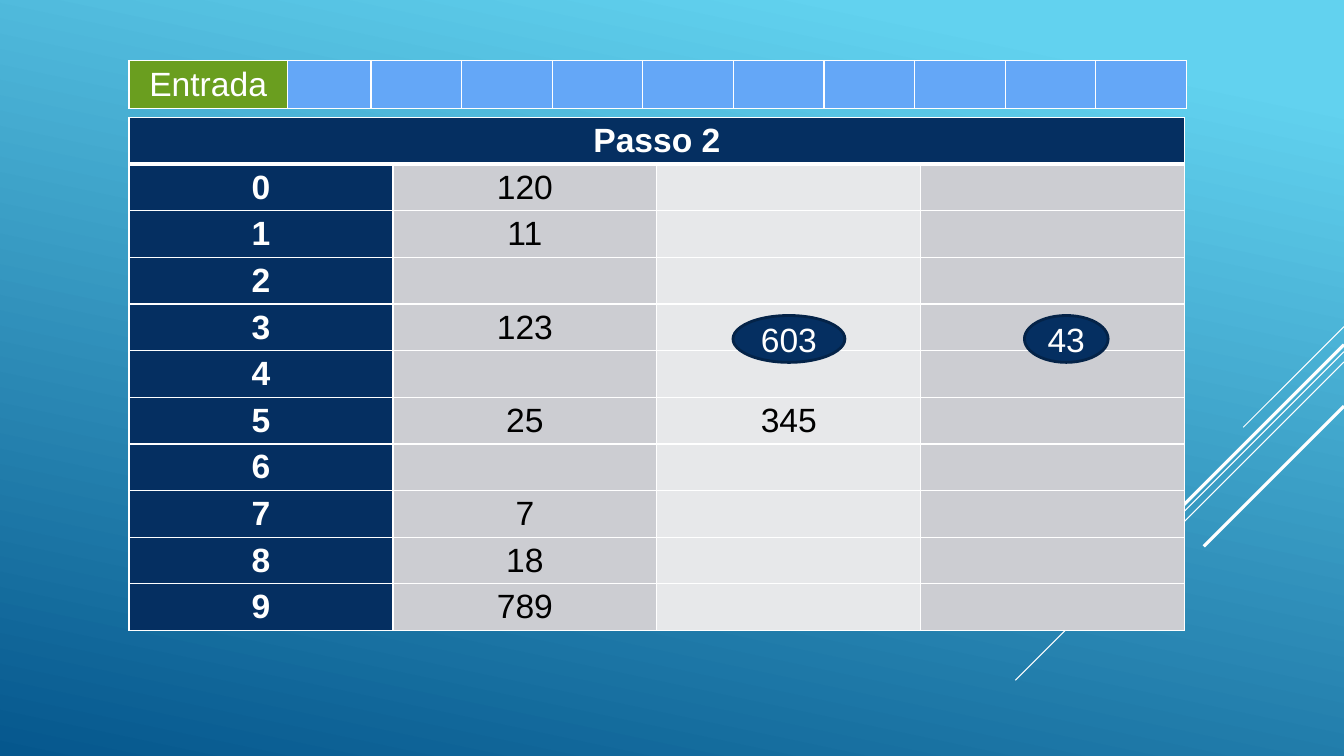
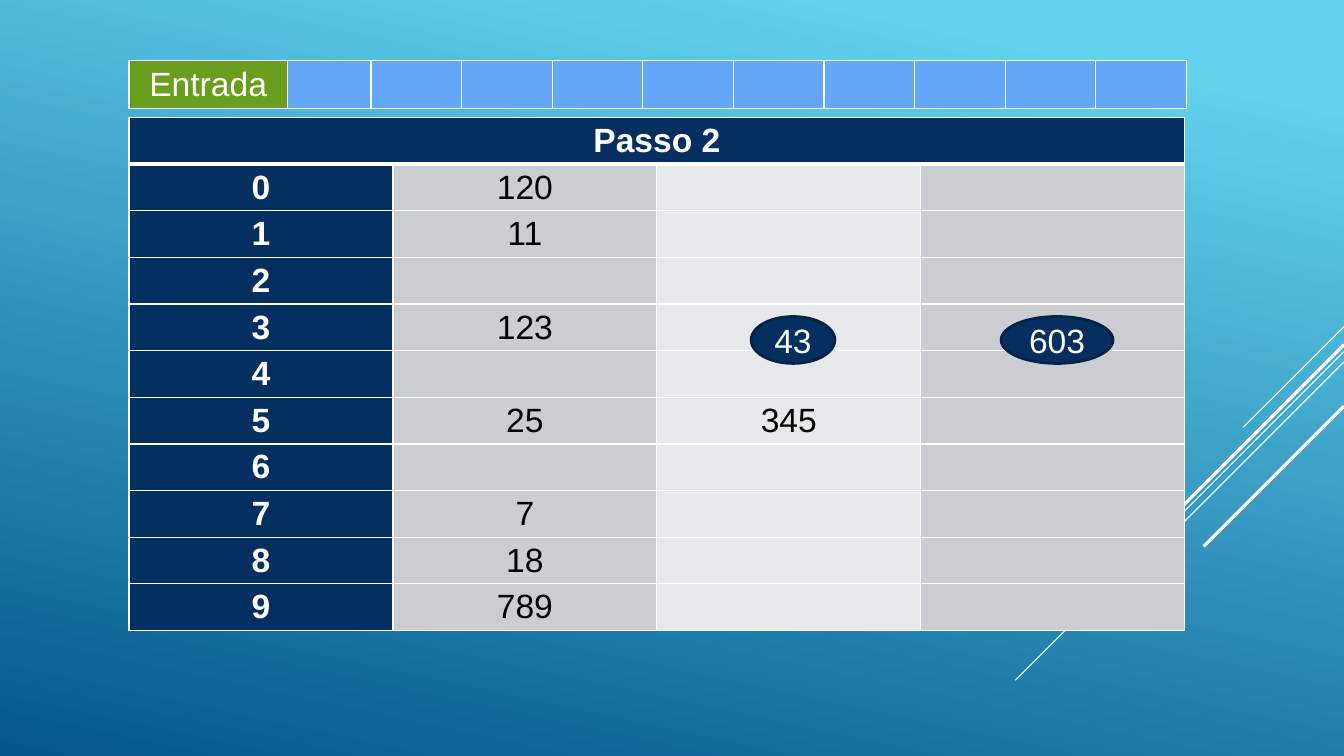
"""Two slides of a bucket-sort step, with the tied numbers swapped."""
from pptx import Presentation
from pptx.dml.color import RGBColor
from pptx.enum.shapes import MSO_CONNECTOR, MSO_SHAPE
from pptx.enum.text import MSO_ANCHOR, PP_ALIGN
from pptx.oxml.ns import qn
from pptx.util import Inches, Pt
from lxml.etree import SubElement

CENTER = PP_ALIGN.CENTER
MIDDLE = MSO_ANCHOR.MIDDLE
OVAL = MSO_SHAPE.OVAL
STRAIGHT = MSO_CONNECTOR.STRAIGHT
WIDTH, HEIGHT = Inches(13.33), Inches(7.5)
FONT, TEXT_SIZE = "Arial", 24
COLORS = {
    "sky": "62D2EF", "deep": "05578D", "white": "FFFFFF", "black": "000000",
    "navy": "052F61", "outline": "042348", "gray": "CCCDD2",
    "pale": "E7E8EA", "green": "6A9E1F", "blue": "64A7F7",
}
TABLE_LEFT = 9.6
INPUT_COLUMNS = [11.78, 6.23] + [6.74] * 9
BUCKET_COLUMNS = [19.64] * 4
BUCKET_FILLS = ["navy", "gray", "pale", "gray"]
BUCKETS = [["120"], ["11"], [], ["123"], [], ["25", "345"], [], ["7"], ["18"], ["789"]]
RAYS = [(43.2, 7.5, 0.75), (46.53, 24.45, 0.75), (47.87, 15.53, 0.75),
        (45.6, 14.33, 2.25), (53.73, 10.43, 2.25)]
OVAL_WIDTHS = {"603": 8.33, "43": 6.23}
STEPS = [(41.73, {"603": 54.54, "43": 76.22}),
         (41.87, {"603": 74.49, "43": 55.89})]


def across(percent):
    """Return a share of the slide's width."""
    return round(WIDTH * percent / 100)


def down(percent):
    """Return a share of the slide's height."""
    return round(HEIGHT * percent / 100)


def rgb(name):
    """Return a palette colour."""
    return RGBColor.from_string(COLORS[name])


def paint(fill, color):
    """Make a fill solid."""
    fill.solid()
    fill.fore_color.rgb = rgb(color)


def write(frame, text, color, bold=False):
    """Add one centred run to a text frame."""
    para = frame.paragraphs[0]
    para.alignment = CENTER
    span = para.add_run()
    span.text = text
    span.font.name, span.font.size, span.font.bold = FONT, Pt(TEXT_SIZE), bold
    span.font.color.rgb = rgb(color)


def paint_background(page):
    """Fill the page with the slanted blue gradient."""
    fill = page.background.fill
    fill.gradient()
    fill.gradient_angle = 258
    for stop, color, position in zip(fill.gradient_stops, ("sky", "deep"), (0.1, 1)):
        stop.color.rgb = rgb(color)
        stop.position = position


def add_ray(page, top, run, weight):
    """Draw a 45-degree line from the right edge."""
    reach = across(run)
    line = page.shapes.add_connector(
        STRAIGHT, WIDTH, down(top), WIDTH - reach, down(top) + reach)
    line.line.color.rgb = rgb("white")
    line.line.width = Pt(weight)
    SubElement(line._element.spPr, qn("a:effectLst"))


def style_cell(cell, fill, top=1, bottom=1):
    """Set the borders, margins and fill of a cell."""
    properties = cell._tc.get_or_add_tcPr()
    for side, weight in zip("LRTB", (1, 1, top, bottom)):
        border = SubElement(properties, qn(f"a:ln{side}"), w=str(Pt(weight)))
        solid = SubElement(border, qn("a:solidFill"))
        SubElement(solid, qn("a:srgbClr"), val=COLORS["white"])
    paint(cell.fill, fill)
    cell.margin_top = cell.margin_bottom = Inches(0.04)
    cell.vertical_anchor = MIDDLE


def add_grid(page, top, height, row_count, columns):
    """Add a table with the given column shares and equal rows."""
    table = page.shapes.add_table(
        row_count, len(columns), across(TABLE_LEFT), down(top),
        across(sum(columns)), down(height)).table
    for column, share in zip(table.columns, columns):
        column.width = across(share)
    return table


def add_input_table(page):
    """Add the emptied input row."""
    table = add_grid(page, 8, 6.4, 1, INPUT_COLUMNS)
    for index in range(len(INPUT_COLUMNS)):
        style_cell(table.cell(0, index), "blue" if index else "green")
    write(table.cell(0, 0).text_frame, "Entrada", "white")


def add_bucket_table(page):
    """Add the ten digit buckets under their heading."""
    table = add_grid(page, 15.55, 67.9, len(BUCKETS) + 1, BUCKET_COLUMNS)
    for index in range(len(BUCKET_COLUMNS)):
        style_cell(table.cell(0, index), "navy", bottom=3)
    table.cell(0, 0).merge(table.cell(0, len(BUCKET_COLUMNS) - 1))
    write(table.cell(0, 0).text_frame, "Passo 2", "white", True)
    for digit, numbers in enumerate(BUCKETS):
        for index, fill in enumerate(BUCKET_FILLS):
            style_cell(table.cell(digit + 1, index), fill, top=1 if digit else 3)
        write(table.cell(digit + 1, 0).text_frame, str(digit), "white", True)
        for index, number in enumerate(numbers, 1):
            write(table.cell(digit + 1, index).text_frame, number, "black")


def add_number_oval(page, number, left, top):
    """Add a moving number in an oval."""
    oval = page.shapes.add_shape(
        OVAL, across(left), down(top), across(OVAL_WIDTHS[number]), down(6.2))
    oval.shadow.inherit = False
    paint(oval.fill, "navy")
    oval.line.color.rgb = rgb("outline")
    oval.line.width = Pt(2)
    oval.text_frame.word_wrap = False
    oval.text_frame.vertical_anchor = MIDDLE
    write(oval.text_frame, number, "white")


def add_step(deck, top, places):
    """Add one slide with its ovals in place."""
    page = deck.slides.add_slide(deck.slide_layouts[6])
    paint_background(page)
    for ray in RAYS:
        add_ray(page, *ray)
    add_bucket_table(page)
    add_input_table(page)
    for number, left in places.items():
        add_number_oval(page, number, left, top)


def main():
    """Build and save the deck."""
    deck = Presentation()
    deck.slide_width, deck.slide_height = WIDTH, HEIGHT
    for top, places in STEPS:
        add_step(deck, top, places)
    deck.save("out.pptx")


if __name__ == "__main__":
    main()
